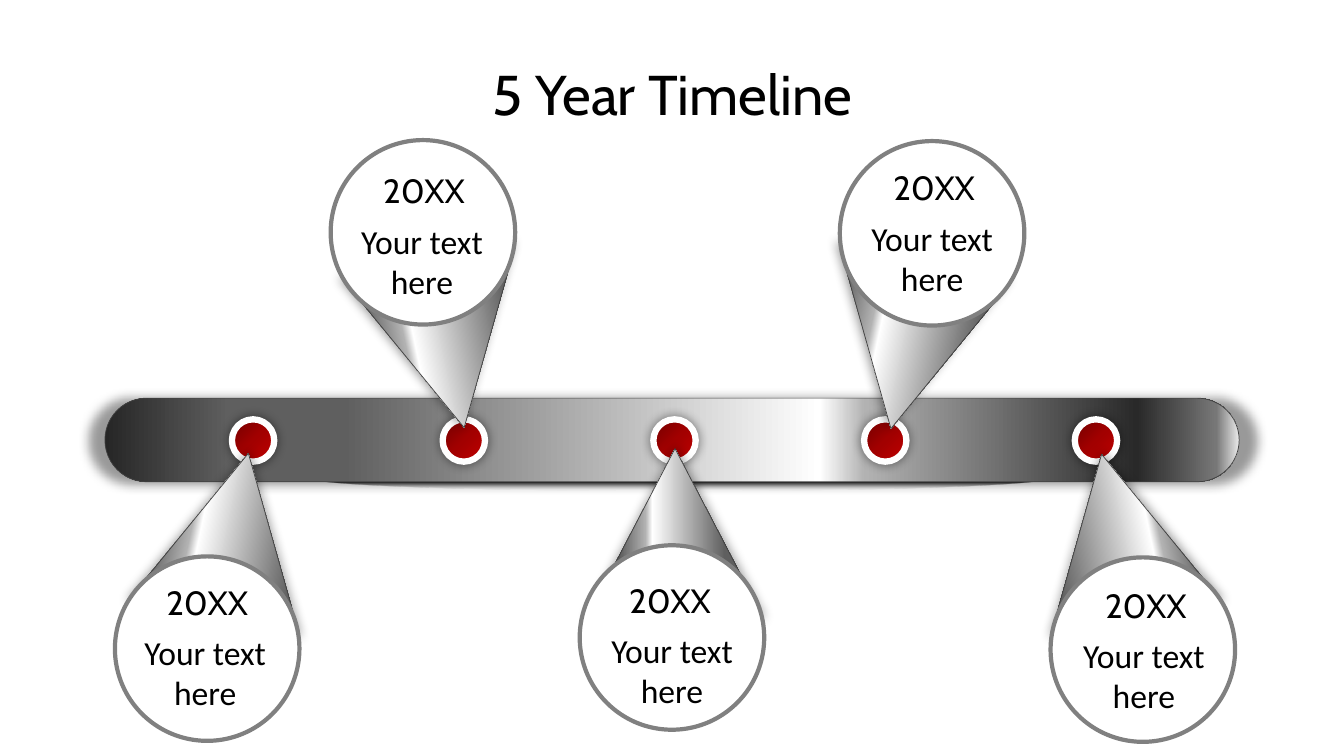
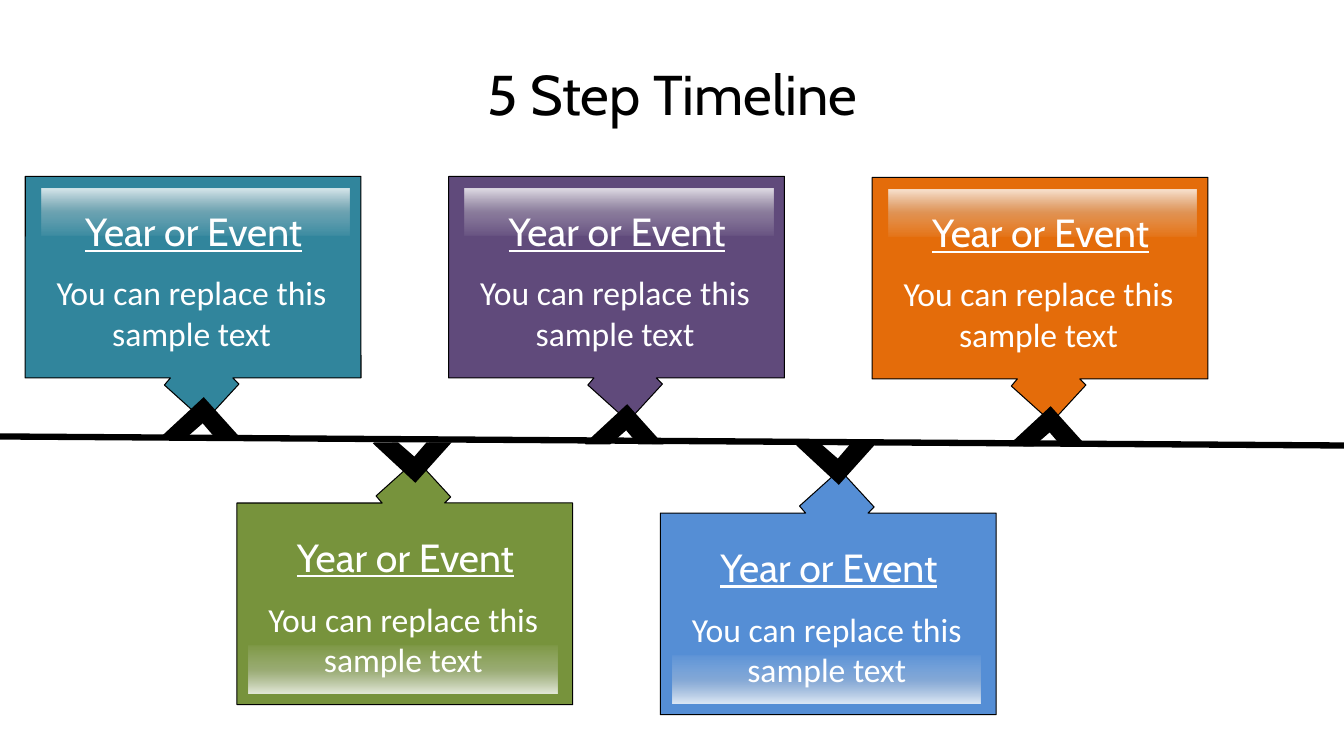
from math import cos, radians, sin

from pptx import Presentation
from pptx.dml.color import RGBColor
from pptx.enum.shapes import MSO_CONNECTOR, MSO_SHAPE
from pptx.enum.text import MSO_ANCHOR, MSO_AUTO_SIZE, PP_ALIGN
from pptx.oxml import parse_xml
from pptx.oxml.ns import nsdecls, qn
from pptx.util import Inches, Pt

OVAL = MSO_SHAPE.OVAL
BAR = MSO_SHAPE.ROUNDED_RECTANGLE
TRIANGLE = MSO_SHAPE.ISOSCELES_TRIANGLE
RECTANGLE = MSO_SHAPE.RECTANGLE
STRAIGHT = MSO_CONNECTOR.STRAIGHT
CENTER = PP_ALIGN.CENTER
MIDDLE, TOP = MSO_ANCHOR.MIDDLE, MSO_ANCHOR.TOP
GROW, FIXED = MSO_AUTO_SIZE.SHAPE_TO_FIT_TEXT, MSO_AUTO_SIZE.NONE

COLORS = {
    "black": "000000", "white": "FFFFFF", "edge": "404040", "ring": "808080",
    "teal": "31859C", "green": "77933C", "purple": "604A7B",
    "blue": "558ED5", "orange": "E46C0A",
}
METAL = [(0, "262626", 100), (11, "5F5F5F", 100), (21, "5F5F5F", 100),
         (63, "FFFFFF", 100), (67, "B2B2B2", 100), (91, "292929", 100),
         (98, "777777", 100), (100, "EAEAEA", 100)]
RED = [(0, "720000", 100), (50, "A20000", 100), (100, "C00000", 100)]
GLOSS = [(0, "FFFFFF", 81), (50, "D9D9D9", 35), (100, "F2F2F2", 5)]
FADE = [(24, "000000", 100), (100, "FFFFFF", 0)]
RADIAL = '<a:path path="shape"><a:fillToRect l="50000" t="50000" r="50000" b="50000"/></a:path>'

TITLE = {"size": Pt(40), "name": "Cabin"}
YEAR = {"size": Pt(24), "name": "Cabin"}
BODY = {"size": Pt(24), "name": "Calibri"}
HEADING = {"size": Pt(28), "name": "Cabin", "underline": True}

CALLOUTS = [
    (1.14, 5.52, -1, 1, 0.33, 0.20),
    (5.75, 5.41, 0, 1, 0.31, 0.29),
    (10.42, 5.53, 1, 1, 0.36, 0.22),
    (8.33, 1.40, 1, -1, 0.35, 0.21),
    (3.28, 1.39, -1, -1, 0.34, 0.25),
]
CARDS = [
    (1.75, "teal", True, 3.94),
    (4.99, "green", False, 4.79),
    (1.75, "purple", True, 4.01),
    (5.09, "blue", False, 4.81),
    (1.76, "orange", True, 4.03),
]
CARD_LEFT, CARD_STEP = 0.25, 2.1
CARD_WIDTH, CARD_HEIGHT = 3.33, 2
CARD_TURN, CHEVRON_TURN = 41.7, 47.8
CARD_OUTLINE = [(0, 0), (CARD_WIDTH, 0), (CARD_WIDTH, 2), (2.06, 2), (2.12, 2.06),
                (1.78, 2.43), (1.38, 2.07), (1.44, 2), (0, 2)]
CHEVRON_OUTLINE = [(0, 0), (0.36, 0.4), (0.11, 0.4), (-0.01, 0.26),
                   (-0.17, 0.4), (-0.41, 0.4), (-0.42, 0.39)]


def rgb(name):
    return RGBColor.from_string(COLORS[name])


def style(shape, fill=None, line=None, width=0):
    if fill:
        shape.fill.solid()
        shape.fill.fore_color.rgb = rgb(fill)
    if line:
        shape.line.color.rgb = rgb(line)
        shape.line.width = Pt(width)
    else:
        shape.line.fill.background()
    shape.shadow.inherit = False


def add_preset(page, kind, box, **look):
    shape = page.shapes.add_shape(kind, *map(Inches, box))
    style(shape, **look)
    return shape


def turn_point(point, angle):
    x, y = point
    across, over = cos(radians(angle)), sin(radians(angle))
    return x * across - y * over, x * over + y * across


def add_outline(page, points, turn, **look):
    level = [turn_point(point, -turn) for point in points]
    middle = [(min(axis) + max(axis)) / 2 for axis in zip(*level)]
    target = turn_point(middle, turn)
    corners = [(Inches(x + target[0] - middle[0]), Inches(y + target[1] - middle[1]))
               for x, y in level]
    builder = page.shapes.build_freeform(*corners[0])
    builder.add_line_segments(corners[1:], close=True)
    shape = builder.convert_to_shape()
    shape.rotation = turn
    style(shape, **look)


def set_gradient(shape, stops, angle=None):
    shape.fill.background()
    marks = "".join(
        f'<a:gs pos="{place * 1000}"><a:srgbClr val="{color}">'
        f'<a:alpha val="{alpha * 1000}"/></a:srgbClr></a:gs>'
        for place, color, alpha in stops)
    course = RADIAL if angle is None else f'<a:lin ang="{angle * 60000}" scaled="0"/>'
    gradient = parse_xml(f'<a:gradFill {nsdecls("a")} rotWithShape="1">'
                         f'<a:gsLst>{marks}</a:gsLst>{course}</a:gradFill>')
    properties = shape._element.spPr
    properties.replace(properties.find(qn("a:noFill")), gradient)


def set_glow(shape, blur, spread=102):
    shape._element.spPr.find(qn("a:effectLst")).append(parse_xml(
        f'<a:outerShdw {nsdecls("a")} blurRad="{Pt(blur)}" sx="{spread * 1000}" sy="102000" '
        'algn="ctr" rotWithShape="0"><a:srgbClr val="000000">'
        '<a:alpha val="40000"/></a:srgbClr></a:outerShdw>'))


def flip(shape, across, over):
    frame = shape._element.spPr.find(qn("a:xfrm"))
    for key, wanted in {"flipH": across, "flipV": over}.items():
        if wanted:
            frame.set(key, "1")


def add_text(page, box, text, font, color="black", anchor=TOP, fit=GROW):
    frame = page.shapes.add_textbox(*map(Inches, box)).text_frame
    for key, value in {"word_wrap": True, "auto_size": fit, "vertical_anchor": anchor}.items():
        setattr(frame, key, value)
    para = frame.paragraphs[0]
    para.alignment = CENTER
    span = para.add_run()
    span.text = text
    for key, value in font.items():
        setattr(span.font, key, value)
    span.font.color.rgb = rgb(color)


def add_title(page, text):
    add_text(page, (0.67, 0.3, 12, 1.25), text, TITLE, anchor=MIDDLE, fit=FIXED)


def add_metal_bar(page, box):
    left, top, width, height = box
    base = add_preset(page, OVAL, (left + 2.03, top + 0.67, 7.33, 0.25))
    set_gradient(base, FADE)
    bar = add_preset(page, BAR, box, line="edge", width=0.5)
    bar.adjustments[0] = 0.5
    set_gradient(bar, METAL, 0)
    set_glow(bar, 8, 103)
    for index in range(5):
        dot = add_preset(page, OVAL, (left + 1.26 + 2.09 * index, top + 0.21, 0.42, 0.42),
                         line="white", width=4.5)
        set_gradient(dot, RED, 45)
        set_glow(dot, 7)


def add_callout(page, left, top, lean, down, text_left, text_top):
    size, beam_width, beam_height = 1.83, 1.72, 1.65
    shift, reach = (0.24 * lean, 1.13) if lean else (-0.03, 1.05)
    beam_left = left + size / 2 - shift - beam_width / 2
    beam_top = top + size / 2 - reach * down - beam_height / 2
    beam = add_preset(page, TRIANGLE, (beam_left, beam_top, beam_width, beam_height),
                      line="edge", width=0.5)
    beam.rotation = -11.8 * lean * down
    flip(beam, lean > 0 and down > 0, down < 0)
    set_gradient(beam, METAL, 180)
    set_glow(beam, 8)
    add_preset(page, OVAL, (left, top, size, size), fill="white", line="ring", width=3)
    year_left, year_top = left + text_left, top + text_top
    inset = 0.23 if lean else 0.19
    add_text(page, (year_left - inset, year_top + 0.5, 1.59, 0.91), "Your text here", BODY)
    add_text(page, (year_left, year_top, 1.17, 0.5), "20XX", YEAR)


def add_card(page, left, top, color, above):
    outline = [(left + x, top + (y if above else CARD_HEIGHT - y)) for x, y in CARD_OUTLINE]
    add_outline(page, outline, CARD_TURN if above else -CARD_TURN, fill=color, line="black")
    gloss_left, gloss_top = (0.16, 0.12) if above else (0.12, 1.42)
    gloss = add_preset(page, RECTANGLE, (left + gloss_left, top + gloss_top, 3.06, 0.47))
    flip(gloss, False, not above)
    set_gradient(gloss, GLOSS, 90)
    add_text(page, (left + 0.08, top + 0.9, 3.14, 0.91),
             "You can replace this sample text", BODY, "white")
    add_text(page, (left + 0.1, top + (0.26 if above else 0.25), 3.14, 0.57),
             "Year or Event", HEADING, "white")


def add_chevron(page, tip_x, tip_y, above):
    way = 1 if above else -1
    outline = [(tip_x + x, tip_y + way * y) for x, y in CHEVRON_OUTLINE]
    add_outline(page, outline, way * CHEVRON_TURN, fill="black")


def add_axis(page):
    axis = page.shapes.add_connector(STRAIGHT, *map(Inches, (0, 4.33, 13.33, 4.42)))
    axis.line.color.rgb = rgb("black")
    axis.line.width = Pt(4.5)
    axis._element.spPr.append(parse_xml(f'<a:effectLst {nsdecls("a")}/>'))


def build_year_timeline(page):
    add_title(page, "5 Year Timeline")
    add_metal_bar(page, (1.04, 3.95, 11.25, 0.83))
    for callout in CALLOUTS:
        add_callout(page, *callout)


def build_step_timeline(page):
    add_title(page, "5 Step Timeline")
    lefts = [CARD_LEFT + CARD_STEP * index for index in range(len(CARDS))]
    for left, (top, color, above, _) in zip(lefts, CARDS):
        add_card(page, left, top, color, above)
    add_axis(page)
    for left, (_, _, above, tip) in zip(lefts, CARDS):
        add_chevron(page, left + 1.77, tip, above)


def main():
    deck = Presentation()
    deck.slide_width, deck.slide_height = Inches(13.33), Inches(7.5)
    for build in (build_year_timeline, build_step_timeline):
        build(deck.slides.add_slide(deck.slide_layouts[6]))
    deck.save("out.pptx")


if __name__ == "__main__":
    main()
